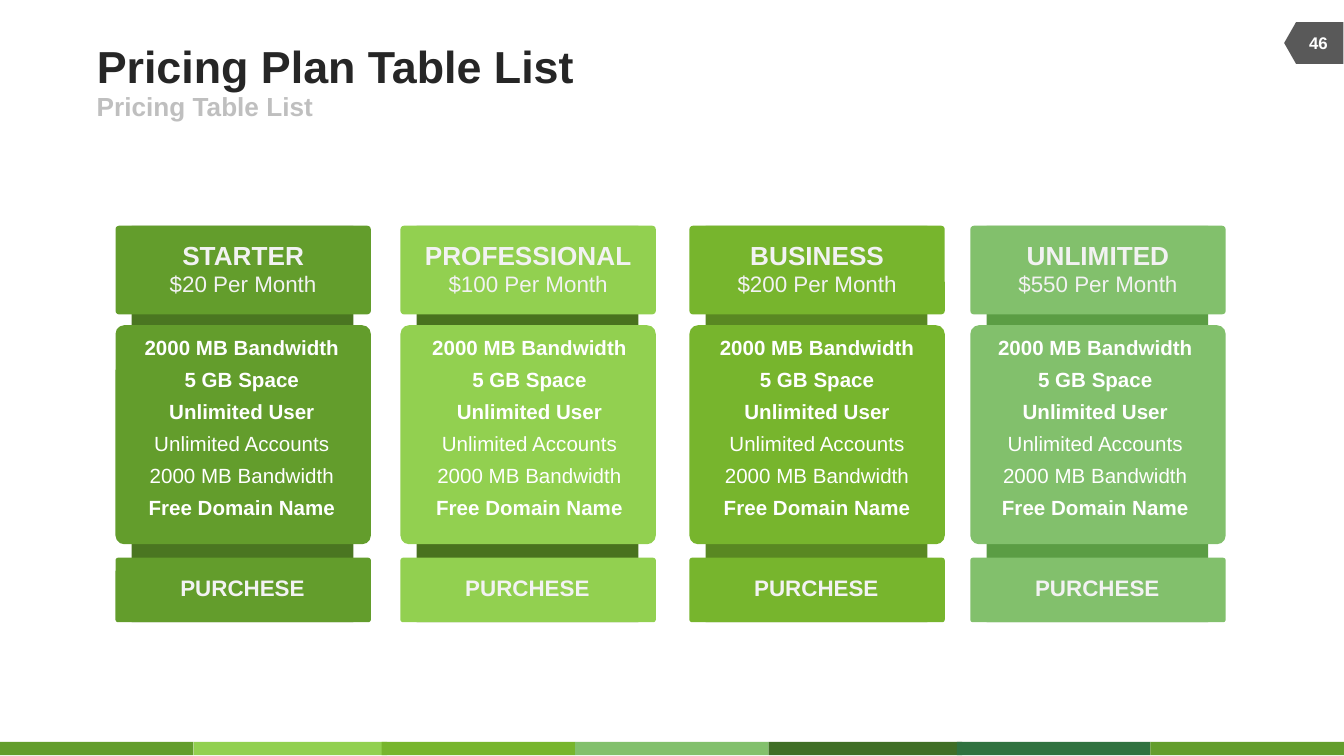
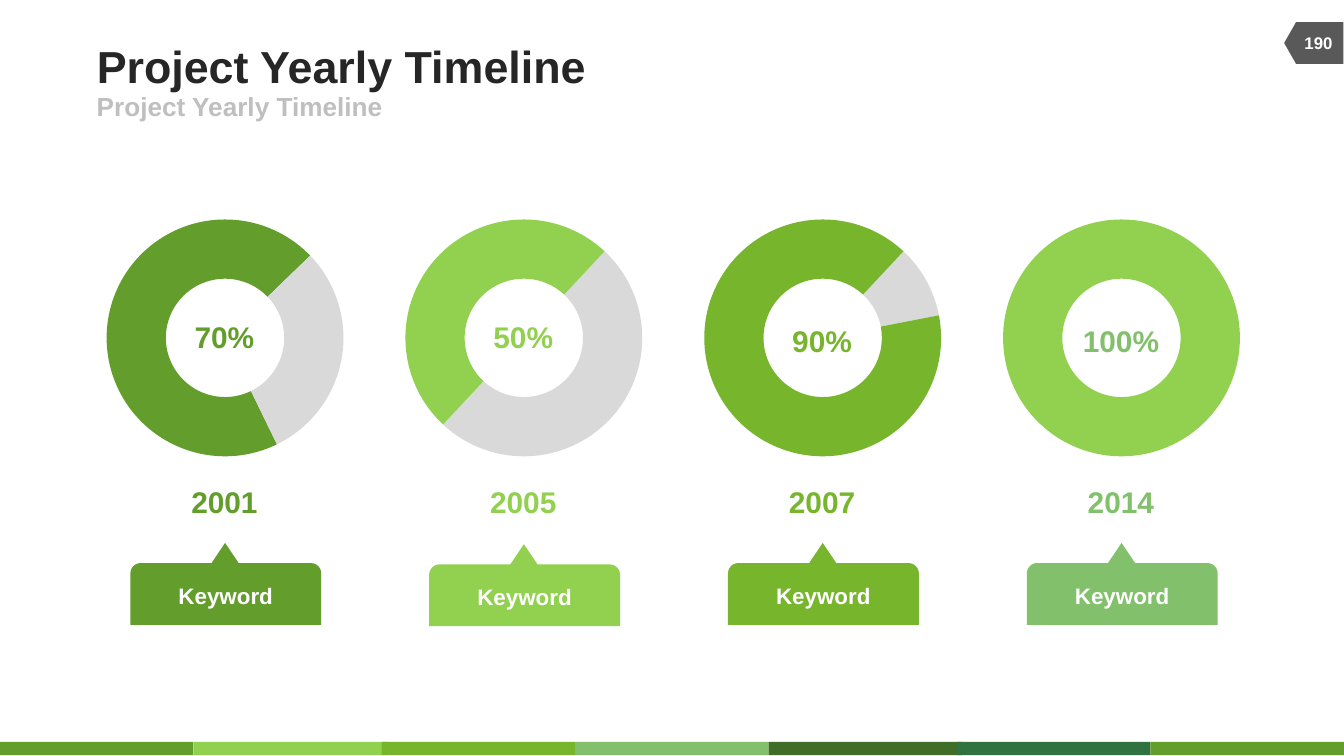
from lxml import etree
from pptx import Presentation
from pptx.chart.data import CategoryChartData
from pptx.dml.color import RGBColor
from pptx.enum.chart import XL_CHART_TYPE as ChartType
from pptx.enum.shapes import MSO_SHAPE as Shape
from pptx.enum.text import MSO_ANCHOR as Anchor, MSO_AUTO_SIZE as AutoSize, PP_ALIGN as Align
from pptx.oxml.ns import qn
from pptx.util import Inches, Pt

COLORS = {
    "leaf": "639D2C",
    "lime": "92D050",
    "grass": "77B52D",
    "sage": "82C06C",
    "forest": "406E26",
    "pine": "307240",
    "leaf_dark": "4A7621",
    "lime_dark": "49721E",
    "grass_dark": "598822",
    "sage_dark": "5B9D44",
    "badge": "595959",
    "title": "262626",
    "subtitle": "BFBFBF",
    "rest": "D9D9D9",
    "pale": "F2F2F2",
    "white": "FFFFFF",
    "black": "000000",
}
FONT = "Arial"


def add_block(page, kind, at, color, corner=None):
    box = page.shapes.add_shape(kind, *[Inches(length) for length in at])
    box.shadow.inherit = False
    box.fill.solid()
    box.fill.fore_color.rgb = RGBColor.from_string(COLORS[color])
    box.line.fill.background()
    if corner is not None:
        box.adjustments[0] = corner
    return box


def write(box, lines, color, align=Align.CENTER, anchor=Anchor.MIDDLE, wrap=True, inset=True, before=0):
    frame = box.text_frame
    frame.text = "\n".join(text for text, size, bold in lines)
    frame.auto_size = AutoSize.NONE
    frame.word_wrap = wrap
    frame.vertical_anchor = anchor
    frame.margin_left = frame.margin_right = Inches(0.1 if inset else 0)
    frame.margin_top = frame.margin_bottom = Inches(0.05 if inset else 0)
    for para, (text, size, bold) in zip(frame.paragraphs, lines):
        para.alignment = align
        para.space_before = Pt(before)
        for span in para.runs:
            span.font.name = FONT
            span.font.size = Pt(size)
            span.font.bold = bold
            span.font.color.rgb = RGBColor.from_string(COLORS[color])


deck = Presentation()
deck.slide_width = Inches(10)
deck.slide_height = Inches(10 * 9 / 16)
layout = deck.slide_layouts[5]
pricing = deck.slides.add_slide(layout)
timeline = deck.slides.add_slide(layout)

band_lefts = [0, 1.44, 2.84, 4.28, 5.72, 7.12, 8.56]
band_colors = ["leaf", "lime", "grass", "sage", "forest", "pine", "leaf"]
shared = [
    add_block(pricing, Shape.RECTANGLE, (left, 5.52, 1.44, 0.1), color)
    for left, color in zip(band_lefts, band_colors)
]
badge = add_block(pricing, Shape.FLOWCHART_OFFPAGE_CONNECTOR, (9.62, 0.1, 0.31, 0.44), "badge")
badge.rotation = 90
shared.append(badge)
for number, box in enumerate(shared, start=100):
    box.element.xpath(".//p:cNvPr")[0].set("id", str(number))
    layout.shapes.element.append(box.element)

headings = [
    (pricing, "Pricing Plan Table List", "Pricing Table List", "46"),
    (timeline, "Project Yearly Timeline", "Project Yearly Timeline", "190"),
]
for page, heading, subheading, number in headings:
    title = page.shapes.title
    title.left, title.top = Inches(0.72), Inches(0.29)
    title.width, title.height = Inches(6.17), Inches(0.39)
    write(title, [(heading, 24, True)], "title", align=Align.LEFT, inset=False)
    box = page.shapes.add_textbox(Inches(0.72), Inches(0.68), Inches(4.5), Inches(0.22))
    write(box, [(subheading, 14, True)], "subtitle", align=Align.LEFT, inset=False)
    box = page.shapes.add_textbox(Inches(9.6), Inches(0.17), Inches(0.42), Inches(0.3))
    write(box, [(number, 9, True)], "white")

plans = [
    ("STARTER", "$20 Per Month", "leaf", 0.86, 1.1, 0.93),
    ("PROFESSIONAL", "$100 Per Month", "lime", 2.98, 1.55, 3.07),
    ("BUSINESS", "$200 Per Month", "grass", 5.13, 1.19, 5.21),
    ("UNLIMITED", "$550 Per Month", "sage", 7.22, 1.19, 7.28),
]
features = [
    ("2000 MB Bandwidth", 11, True),
    ("5 GB Space", 11, True),
    ("Unlimited User", 11, True),
    ("Unlimited Accounts", 11, False),
    ("2000 MB Bandwidth", 11, False),
    ("Free Domain Name", 11, True),
]
card_width = 1.9
for name, price, color, left, name_width, features_left in plans:
    add_block(pricing, Shape.RECTANGLE, (left + 0.12, 1.68, 1.65, 2.95), color + "_dark")
    for top, height in [(2.42, 1.63), (1.68, 0.66), (4.15, 0.48)]:
        add_block(pricing, Shape.ROUNDED_RECTANGLE, (left, top, card_width, height), color, 0.04)
    name_left = left + (card_width - name_width) / 2
    box = add_block(pricing, Shape.RECTANGLE, (name_left, 1.78, name_width, 0.44), color)
    write(box, [(name, 14, True), (price, 12, False)], "pale", anchor=Anchor.TOP, wrap=False, inset=False)
    box = add_block(pricing, Shape.RECTANGLE, (left + 0.48, 4.27, 0.93, 0.2), color)
    write(box, [("PURCHESE", 12, True)], "pale", anchor=Anchor.TOP, wrap=False, inset=False)
    box = pricing.shapes.add_textbox(Inches(features_left), Inches(2.44), Inches(1.74), Inches(1.49))
    write(box, features, "white", anchor=Anchor.TOP, before=4)

years = [
    ("2001", "70%", "leaf", (70, 30), ("leaf", "rest"), 154, 2.32, 0.7, 4.04),
    ("2005", "50%", "lime", (50, 50), ("rest", "lime"), 43, 2.32, 0.7, 4.05),
    ("2007", "90%", "grass", (10, 90), ("rest", "grass"), 43, 2.35, 0.7, 4.04),
    ("2014", "100%", "sage", (0, 100), ("leaf", "lime"), 43, 2.35, 0.88, 4.04),
]
for index, (year, share, color, values, slices, angle, share_top, share_width, tip_top) in enumerate(years):
    center = 1.67 + 6.67 * index / 3
    data = CategoryChartData()
    data.categories = ["1", "2"]
    data.add_series("Series 1", values)
    chart = timeline.shapes.add_chart(
        ChartType.DOUGHNUT, Inches(center - 1.02), Inches(1.43), Inches(2.05), Inches(2.17), data
    ).chart
    chart.has_legend = False
    chart.has_title = False
    chart.font.name = FONT
    chart.font.size = Pt(18)
    chart.font.color.rgb = RGBColor.from_string(COLORS["black"])
    plot = chart.plots[0]
    plot.vary_by_categories = True
    plot.has_data_labels = False
    for number, slice_color in enumerate(slices):
        point = plot.series[0].points[number]
        point.format.fill.solid()
        point.format.fill.fore_color.rgb = RGBColor.from_string(COLORS[slice_color])
        point.format.line.fill.background()
    chart.element.xpath(".//c:firstSliceAng")[0].set("val", str(angle))
    chart.element.xpath(".//c:holeSize")[0].set("val", "70")
    area = chart.element.xpath(".//c:plotArea")[0]
    for old_layout in area.findall(qn("c:layout")):
        area.remove(old_layout)
    ring = etree.Element(qn("c:layout"))
    area.insert(0, ring)
    manual = etree.SubElement(ring, qn("c:manualLayout"))
    settings = [
        ("layoutTarget", "inner"), ("xMode", "edge"), ("yMode", "edge"),
        ("x", "0.07"), ("y", "0.09"), ("w", "0.86"), ("h", "0.82"),
    ]
    for tag, value in settings:
        etree.SubElement(manual, qn("c:" + tag)).set("val", value)

    box = timeline.shapes.add_textbox(
        Inches(center - share_width / 2), Inches(share_top), Inches(share_width), Inches(0.37)
    )
    write(box, [(share, 16, True)], color)
    box = timeline.shapes.add_textbox(Inches(center - 0.25), Inches(3.6), Inches(0.5), Inches(0.27))
    write(box, [(year, 16, True)], color, anchor=Anchor.TOP, wrap=False, inset=False)
    add_block(timeline, Shape.ISOSCELES_TRIANGLE, (center - 0.15, tip_top, 0.31, 0.23), color)
    box = add_block(timeline, Shape.ROUND_2_SAME_RECTANGLE, (center - 0.7, tip_top + 0.15, 1.42, 0.46), color)
    write(box, [("Keyword", 12, True)], "white")

deck.save("out.pptx")
